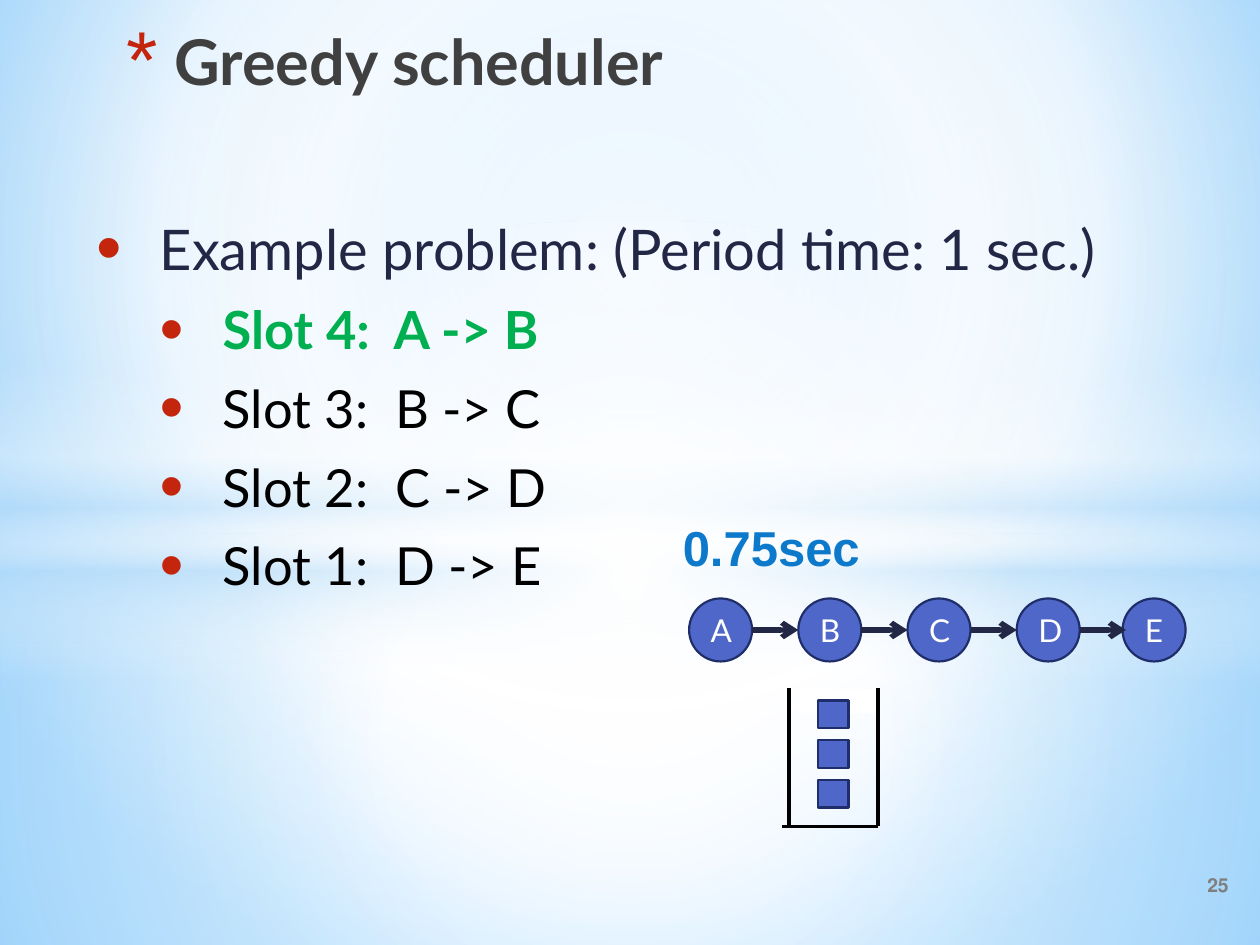
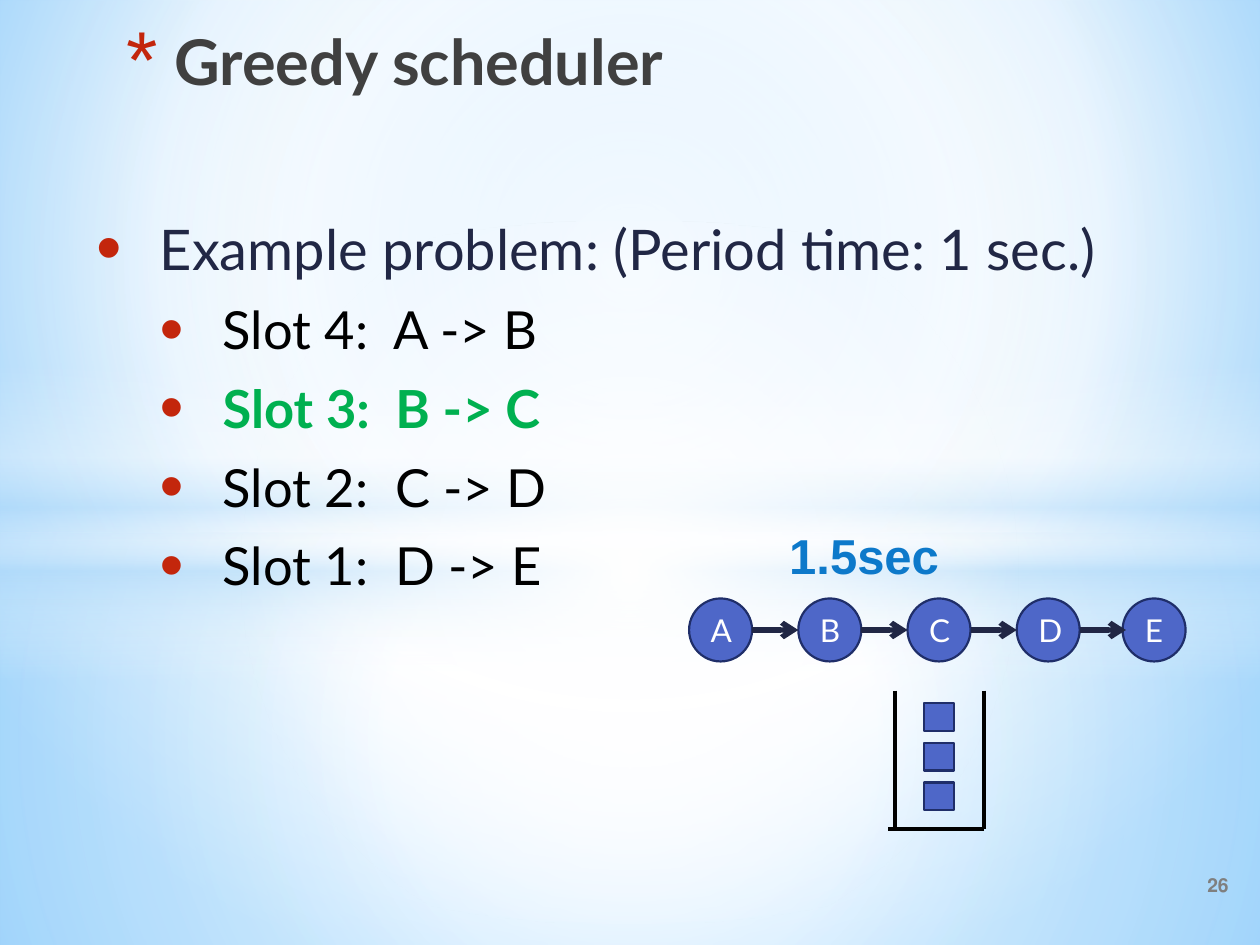
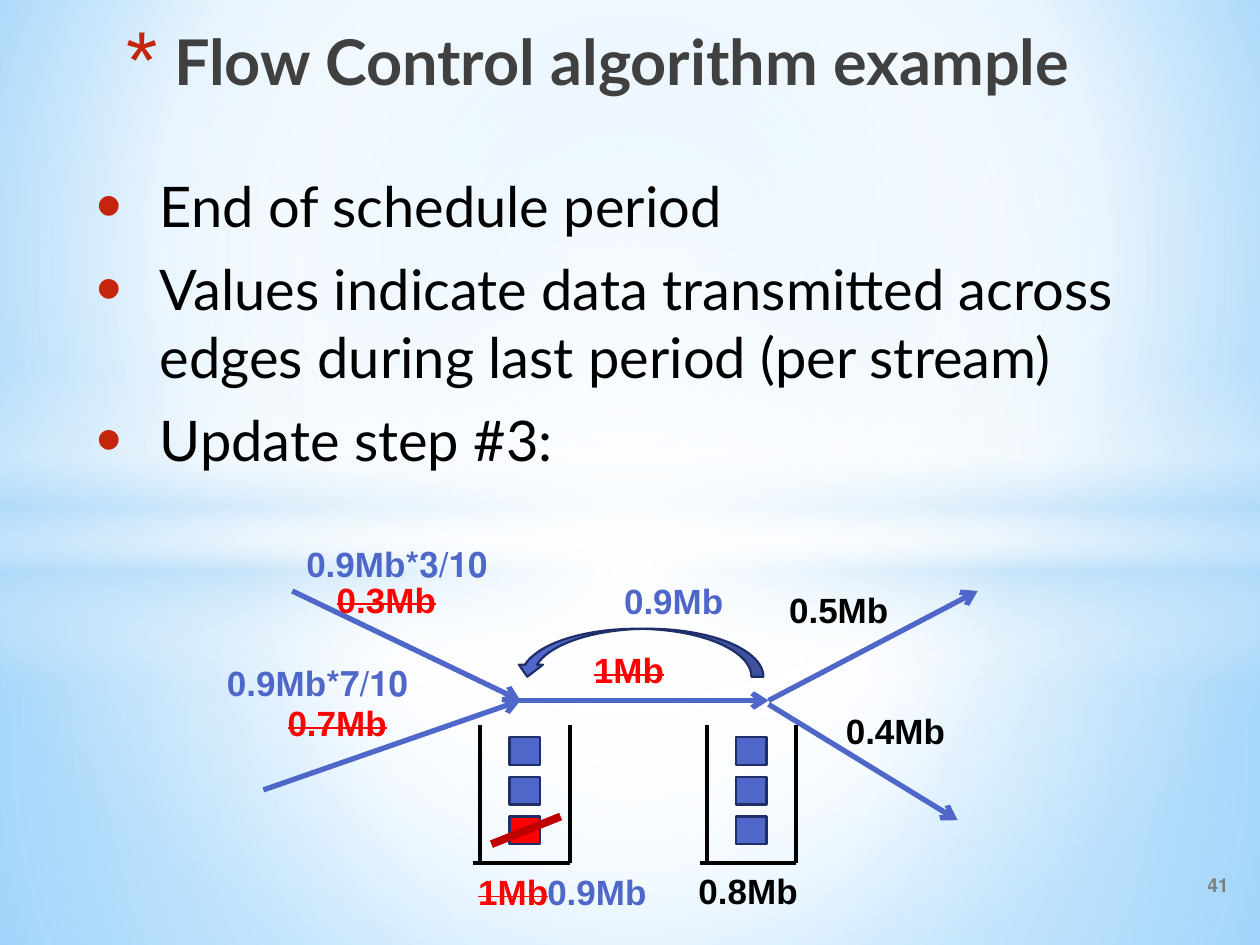
from lxml import etree
from pptx import Presentation
from pptx.dml.color import RGBColor as RGB
from pptx.enum.shapes import MSO_CONNECTOR as LINK, MSO_SHAPE as FORM
from pptx.enum.text import MSO_ANCHOR as ANCHOR, PP_ALIGN as ALIGN
from pptx.oxml.ns import qn
from pptx.util import Pt

BLUE = RGB(0x4E, 0x67, 0xC8)
EDGE = RGB(0x1F, 0x2E, 0x69)
NAVY = RGB(0x21, 0x27, 0x45)
TIME = RGB(0x0D, 0x79, 0xCA)
GREEN = RGB(0x00, 0xB0, 0x50)
RED = RGB(0xFF, 0x00, 0x00)
DARK = RGB(0xC0, 0x00, 0x00)
RUST = RGB(0xC3, 0x26, 0x0C)
INK = RGB(0x40, 0x40, 0x40)
GRAY = RGB(0x7F, 0x7F, 0x7F)
BLACK = RGB(0x00, 0x00, 0x00)
WHITE = RGB(0xFF, 0xFF, 0xFF)
SKY = RGB(0xB4, 0xDC, 0xFA)
PALE = RGB(0x9E, 0xD5, 0xFF)
DEEP = RGB(0x5B, 0xB9, 0xFF)

MID = (50, 50, 50, 50)
# form, frame, gradient stops (place, colour, opacity), focus or None for top-down
BANDS = [
    (FORM.RECTANGLE, (0, 304.6, 720, 235.4),
     [(0, WHITE, 91), (37, WHITE, 76), (100, SKY, 79)], MID),
    (FORM.RECTANGLE, (0, 0, 720, 304.6),
     [(0, WHITE, 89), (48, WHITE, 62), (100, SKY, 79)], MID),
    (FORM.RECTANGLE, (0, 208.8, 720, 180),
     [(0, WHITE, 0), (29, WHITE, 30), (45, SKY, 40),
      (55, WHITE, 26), (65, SKY, 60), (100, WHITE, 0)], None),
    (FORM.OVAL, (0, 126, 720, 401.8),
     [(0, WHITE, 100), (54, WHITE, 0)], MID),
]


def add(host, tag, **attrs):
    node = etree.SubElement(host, qn(tag))
    for key, val in attrs.items():
        node.set(key, str(val))
    return node


def blend(host, stops, focus):
    """Rewrite the gradient inside host: round about focus, or top-down."""
    grad = host.find(qn("a:gradFill"))
    for child in list(grad):
        grad.remove(child)
    row = add(grad, "a:gsLst")
    for place, color, alpha in stops:
        stop = add(row, "a:gs", pos=place * 1000)
        tint = add(stop, "a:srgbClr", val=color)
        if alpha < 100:
            add(tint, "a:alpha", val=alpha * 1000)
    if focus:
        way = add(grad, "a:path", path="circle")
        sides = {side: val * 1000 for side, val in zip("ltrb", focus)}
        add(way, "a:fillToRect", **sides)
    else:
        add(grad, "a:lin", ang=5400000, scaled=0)


class Deck:
    def __init__(self):
        self.show = Presentation()
        self.show.slide_width, self.show.slide_height = Pt(720), Pt(540)
        self.slide = None

    def back(self):
        """Put the background and the soft bands on the slide master."""
        base = self.show.slide_master
        base.background.fill.gradient()
        blend(base.element.find(".//" + qn("p:bgPr")),
              [(0, PALE, 100), (60, WHITE, 100), (100, DEEP, 100)],
              (20, 10, 20, 60))
        for num, (form, frame, stops, focus) in enumerate(BANDS, 20):
            band = self.shape(form, frame, WHITE, None)
            band.fill.gradient()
            blend(band.element.spPr, stops, focus)
            band.element.nvSpPr.cNvPr.set("id", str(num))
            base.shapes.element.append(band.element)

    def page(self, title, num):
        first = self.slide is None
        self.slide = self.show.slides.add_slide(self.show.slide_layouts[6])
        if first:
            self.back()
        head = self.text((65.5, 9.4, 654, 79), [title], 36, INK, bold=True)
        self.bullet(head, "*", 128, 27)
        foot = self.label(444.8, 491, str(num), GRAY, 264.4, 11, "Lato")
        foot.height = Pt(28.8)
        foot.text_frame.vertical_anchor = ANCHOR.MIDDLE

    def shape(self, form, frame, fill=BLUE, edge=EDGE):
        item = self.slide.shapes.add_shape(form, *map(Pt, frame))
        item.shadow.inherit = False
        item.fill.solid()
        item.fill.fore_color.rgb = fill
        if edge is None:
            item.line.fill.background()
        else:
            item.line.color.rgb = edge
            item.line.width = Pt(1.25)
        return item

    def letter(self, item, lines, size, color, bold=False, font="Lato",
               align=ALIGN.LEFT):
        """Set the lines as the paragraphs of item, in one style."""
        frame = item.text_frame
        frame.word_wrap = True
        frame.text = "\n".join(lines)
        for para in frame.paragraphs:
            para.alignment = align
            for run in para.runs:
                run.font.name, run.font.size = font, Pt(size)
                run.font.bold = bold
                run.font.color.rgb = color

    def text(self, frame, lines, size, color, **style):
        item = self.slide.shapes.add_textbox(*map(Pt, frame))
        self.letter(item, lines, size, color, **style)
        return item

    def label(self, x, y, word, color, wide=72, size=20, font="Arial",
              strike=False):
        """Add a bold right-to-left label set against its right edge."""
        item = self.text((x, y, wide, 31.5), [word], size, color, bold=True,
                         font=font, align=ALIGN.RIGHT)
        for node in item.element.iter(qn("a:pPr")):
            node.set("rtl", "1")
        if strike:
            for node in item.element.iter(qn("a:rPr")):
                node.set("strike", "sngStrike")
        return item

    def bullet(self, item, char, scale, indent, sub=()):
        """Give each paragraph a bullet; those numbered in sub go deeper."""
        for num, node in enumerate(item.element.iter(qn("a:pPr"))):
            level = int(num in sub)
            node.set("marL", str(Pt(indent * (level + 1))))
            node.set("indent", str(-Pt(indent)))
            if level:
                node.set("lvl", "1")
            add(add(node, "a:buClr"), "a:srgbClr", val=RUST)
            add(node, "a:buSzPct", val=scale * 1000)
            add(node, "a:buFont", typeface="Arial")
            add(node, "a:buChar", char=char)

    def body(self, y, high, lines, color, sub=()):
        item = self.text((48.2, y, 646.6, high), lines, 32, color)
        paras = item.text_frame.paragraphs
        for num, para in enumerate(paras):
            para.space_before, para.space_after = Pt(6.4), Pt(3)
            if num in sub:
                para.space_before = Pt(6)
                para.runs[0].font.size = Pt(30)
                para.runs[0].font.color.rgb = BLACK
        self.bullet(item, "•", 130, 36, sub)
        return paras

    def line(self, start, end, color=BLACK, width=2.25, arrow=False):
        item = self.slide.shapes.add_connector(
            LINK.STRAIGHT, *map(Pt, (*start, *end)))
        item.line.color.rgb = color
        item.line.width = Pt(width)
        props = item.element.spPr
        if arrow:
            add(props.find(qn("a:ln")), "a:tailEnd", type="arrow")
        add(props, "a:effectLst")

    def queue(self, x, y, last=BLUE):
        """Draw an open bucket with three packets, its left wall at x."""
        right, floor = x + 51.2, y + 79.2
        for num, fill in enumerate((BLUE, BLUE, last)):
            self.shape(FORM.RECTANGLE,
                       (x + 16.9, y + 7.2 + 22.7 * num, 17.3, 15.8), fill)
        self.line((x, y), (x, floor))
        self.line((right, floor), (x - 4, floor))
        self.line((right, y), (right, floor))

    def chain(self):
        """Draw the nodes A to E and the arrows between them."""
        lefts = (393.8, 456.2, 518.6, 581, 641.5)
        for name, x in zip("ABCDE", lefts):
            node = self.shape(FORM.OVAL, (x, 342, 36, 36))
            self.letter(node, [name], 18, WHITE, align=ALIGN.CENTER)
            node.text_frame.vertical_anchor = ANCHOR.MIDDLE
        for x in lefts[:-1]:
            self.line((x + 36, 360), (x + 62.4, 360), NAVY, 3, True)


def greedy(deck, num, active, time, spot):
    deck.page("Greedy scheduler", num)
    lines = ["Example problem: (Period time: 1 sec.)",
             "Slot 4:  A -> B", "Slot 3:  B -> C",
             "Slot 2:  C -> D", "Slot 1:  D -> E"]
    paras = deck.body(118.8, 185, lines, NAVY, range(1, 5))
    font = paras[active].runs[0].font
    font.bold, font.color.rgb = True, GREEN
    deck.chain()
    deck.label(*spot, time, TIME, 189.4, 28)


def flow(deck):
    deck.page("Flow Control algorithm example", 41)
    deck.body(94.3, 232.6, [
        "End of schedule period",
        "Values indicate data transmitted across edges during last period "
        "(per stream)",
        "Update step #3:"], BLACK)
    for start, end in [((167, 337.7), (297.4, 400.3)),
                       ((150.5, 451.4), (297.4, 400.3)),
                       ((292.3, 400.3), (439.2, 400.3)),
                       ((439.2, 402.5), (547.2, 468.7)),
                       ((439.2, 400.3), (558.7, 337.7))]:
        deck.line(start, end, BLUE, 3, True)
    deck.queue(403.9, 414)
    deck.queue(274.3, 414, RED)
    turn = deck.shape(FORM.CURVED_DOWN_ARROW, (294.5, 359.3, 141.8, 27.4))
    turn.element.spPr.xfrm.set("flipH", "1")
    for x, y, word in [(184.3, 326.9, "0.3Mb"), (314.6, 367.2, "1Mb"),
                       (248.4, 493.9, "1Mb"), (156.2, 397.4, "0.7Mb")]:
        deck.label(x, y, word, RED, strike=True)
    for x, y, word in [(442.8, 332.6, "0.5Mb"), (475.2, 401.8, "0.4Mb"),
                       (391, 493.2, "0.8Mb")]:
        deck.label(x, y, word, BLACK)
    for x, y, word, wide in [(304.6, 493.9, "0.9Mb", 72),
                             (348.5, 327.6, "0.9Mb", 72),
                             (144.7, 306.7, "3/10*0.9Mb", 141),
                             (99.4, 374.4, "7/10*0.9Mb", 141)]:
        deck.label(x, y, word, BLUE, wide)
    deck.line((280.8, 482.4), (320.4, 466.6), DARK, 4.5)


def main():
    deck = Deck()
    greedy(deck, 25, 1, "0.75sec", (308.9, 292.3))
    deck.shape(FORM.RECTANGLE, (456.5, 393.8, 45.4, 13.7), WHITE, None)
    deck.queue(450.7, 393.1)
    greedy(deck, 26, 2, "1.5sec", (354.2, 296.6))
    deck.queue(511.2, 394.6)
    flow(deck)
    deck.show.save("out.pptx")


if __name__ == "__main__":
    main()
